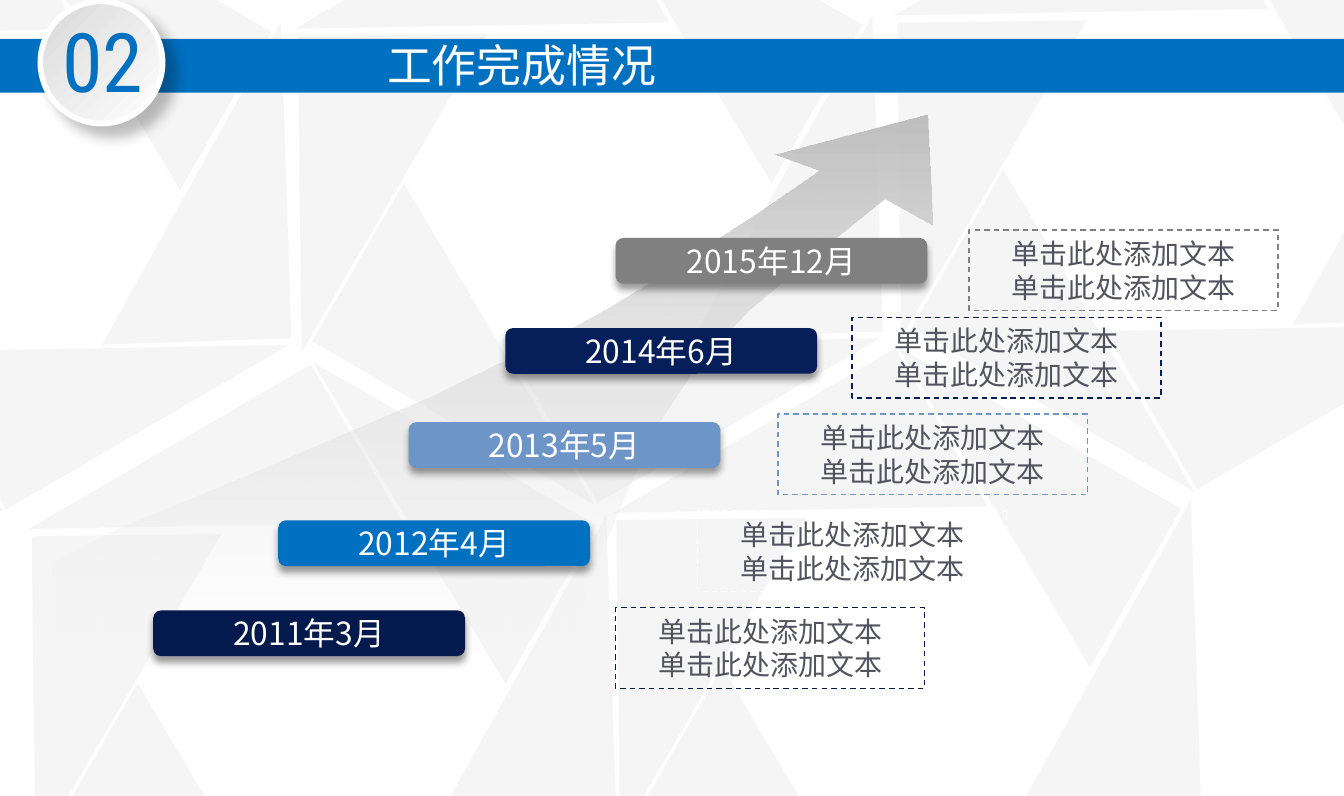
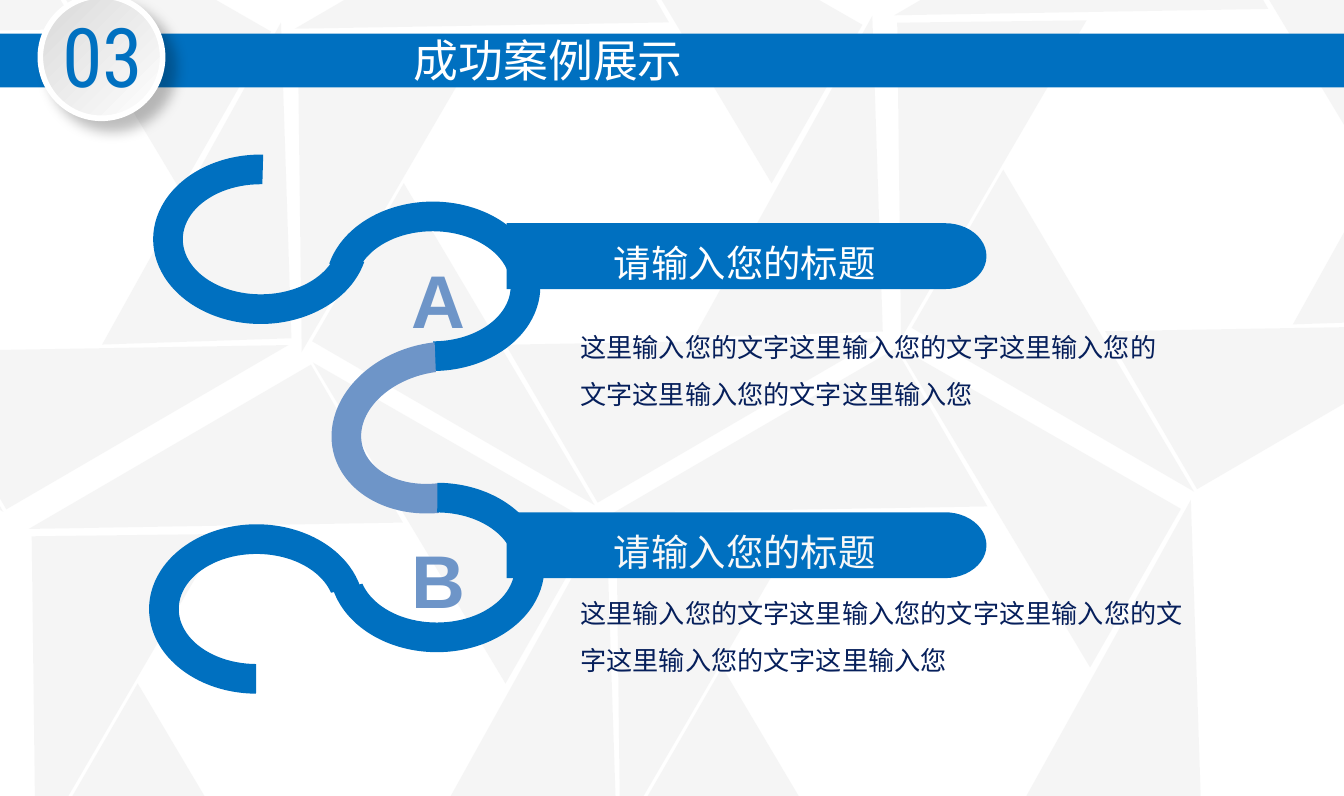
from math import cos, pi, sin

from lxml.etree import SubElement
from pptx import Presentation
from pptx.dml.color import RGBColor
from pptx.enum.dml import MSO_LINE
from pptx.enum.shapes import MSO_SHAPE
from pptx.enum.text import MSO_ANCHOR, MSO_AUTO_SIZE, PP_ALIGN
from pptx.oxml.ns import qn
from pptx.util import Inches, Pt

COLORS = {
    "blue": "0070C0",
    "soft_blue": "6E95C8",
    "navy": "061F5B",
    "deep_navy": "04194C",
    "gray": "808080",
    "silver": "BFBFBF",
    "pale": "D9D9D9",
    "white": "FFFFFF",
    "off_white": "F8F8F8",
    "text": "52535E",
}
CJK = "Noto Sans CJK SC"
LEFT, CENTER = PP_ALIGN.LEFT, PP_ALIGN.CENTER
TOP, MIDDLE = MSO_ANCHOR.TOP, MSO_ANCHOR.MIDDLE


def paint(shape, fill=None, alpha=None, shadow=None):
    """Flat fill without outline; shadow is (opacity %, blur pt, distance pt, degrees)."""
    shape.shadow.inherit = False
    shape.line.fill.background()
    if fill:
        shape.fill.solid()
        shape.fill.fore_color.rgb = RGBColor.from_string(COLORS[fill])
    else:
        shape.fill.background()
    properties = shape._element.spPr
    if alpha is not None:
        tint = properties.find(qn("a:solidFill"))[0]
        SubElement(tint, qn("a:alpha"), val=str(alpha * 1000))
    if shadow:
        opacity, blur, distance, angle = shadow
        outer = SubElement(properties.find(qn("a:effectLst")), qn("a:outerShdw"),
                           blurRad=str(Pt(blur)), dist=str(Pt(distance)),
                           dir=str(angle * 60000), algn="ctr", rotWithShape="0")
        tint = SubElement(outer, qn("a:srgbClr"), val="000000")
        SubElement(tint, qn("a:alpha"), val=str(opacity * 1000))
    return shape


def write(shape, lines, size, color, font=CJK, align=CENTER, anchor=TOP,
          wrap=True, bold=False, spacing=None):
    frame = shape.text_frame
    frame.word_wrap = wrap
    frame.auto_size = MSO_AUTO_SIZE.NONE
    frame.vertical_anchor = anchor
    for number, line in enumerate(lines):
        paragraph = frame.add_paragraph() if number else frame.paragraphs[0]
        paragraph.alignment = align
        paragraph.line_spacing = spacing
        run = paragraph.add_run()
        run.text = line
        run.font.size = Pt(size)
        run.font.bold = bold
        run.font.name = font
        run.font.color.rgb = RGBColor.from_string(COLORS[color])
        SubElement(run.font._element, qn("a:ea"), typeface=CJK)


prs = Presentation()
prs.slide_width, prs.slide_height = Inches(10), Inches(5.92)
layout = prs.slide_layouts[5]
for placeholder in list(layout.placeholders)[1:]:
    layout.shapes.element.remove(placeholder._element)
progress = prs.slides.add_slide(layout)
cases = prs.slides.add_slide(layout)

# Shared background: rings of six pale triangles, kept on the layout
RING = [
    (-0.61, 1.22, 2.35, 1.41, 89.3),
    (0, 0, 2.43, 1.36, 149.8),
    (0.13, 2.37, 2.43, 1.36, 30.1),
    (1.57, 2.35, 2.43, 1.36, 329.8),
    (2.28, 1.1, 2.35, 1.41, 268.1),
    (1.44, -0.02, 2.43, 1.36, 209.8),
]
RING_ORIGINS = [(0.39, 3.23), (4.74, 3.11), (2.37, -0.49), (6.83, -0.59), (-2.03, -0.44)]
for ring_x, ring_y in RING_ORIGINS:
    visible = RING if ring_x > 0 else RING[1:]
    for dx, dy, width, height, angle in visible:
        triangle = progress.shapes.add_shape(
            MSO_SHAPE.RIGHT_TRIANGLE, Inches(ring_x + dx), Inches(ring_y + dy),
            Inches(width), Inches(height))
        triangle.rotation = angle
        paint(triangle, "silver", alpha=14)
        layout.shapes.element.append(triangle._element)

# Shared header: band, numbered badge, title
HEADERS = [
    (progress, "02", "工作完成情况", 0.29, 1.93, 0.2),
    (cases, "03", "成功案例展示", 0.25, 2.13, 0.16),
]
for slide, number, heading, band_y, title_x, title_y in HEADERS:
    paint(slide.shapes.add_shape(MSO_SHAPE.RECTANGLE, 0, Inches(band_y),
                                 Inches(10), Inches(0.4)), "blue")
    badge = slide.shapes.add_group_shape()
    disc = badge.shapes.add_shape(MSO_SHAPE.OVAL, Inches(0.3), Inches(band_y - 0.28),
                                  Inches(0.91), Inches(0.91))
    paint(disc, shadow=(25, 7, 8, 45))
    disc.fill.gradient()
    disc.fill.gradient_angle = 315
    for stop, color in zip(disc.fill.gradient_stops, ("pale", "white")):
        stop.color.rgb = RGBColor.from_string(COLORS[color])
    disc.line.color.rgb = RGBColor.from_string(COLORS["white"])
    disc.line.width = Pt(3)
    badge_number = badge.shapes.add_textbox(Inches(0.35), Inches(band_y - 0.26),
                                            Inches(0.83), Inches(0.84))
    write(badge_number, [number], 44, "blue", font="Roboto Condensed")

    title = slide.shapes.title
    title.left, title.top = Inches(title_x), Inches(title_y)
    title.width, title.height = Inches(3.9), Inches(0.56)
    write(title, [heading], 24, "white", anchor=MIDDLE)
    slide.shapes.element.append(title._element)

# Slide 1: timeline along a rising arrow
ARROW = [
    (0.39, 4.17), (0.84, 3.94), (1.31, 3.75), (1.82, 3.54), (2.45, 3.27), (3.22, 2.94),
    (3.73, 2.69), (4.07, 2.54), (4.54, 2.28), (4.95, 2.03), (5.33, 1.78), (5.64, 1.58),
    (6.09, 1.27), (5.76, 1.15), (6.9, 0.85), (6.94, 1.68), (6.58, 1.48), (6.12, 1.85),
    (5.58, 2.3), (5.21, 2.68), (5.03, 2.95), (4.85, 3.23), (4.74, 3.49), (4.63, 3.73),
    (4.43, 4.21), (4.29, 4.66), (4.18, 5.02), (4.04, 5.43), (0.39, 5.43),
]
corners = [(Inches(x), Inches(y)) for x, y in ARROW]
outline = progress.shapes.build_freeform(*corners[0])
outline.add_line_segments(corners[1:])
arrow = paint(outline.convert_to_shape())
arrow.fill.gradient()
arrow.fill.gradient_angle = 270
for stop, color in zip(arrow.fill.gradient_stops, ("silver", "white")):
    stop.color.rgb = RGBColor.from_string(COLORS[color])
faded_end = arrow._element.spPr.findall(".//" + qn("a:srgbClr"))[-1]
SubElement(faded_end, qn("a:alpha"), val="0")

MILESTONES = [
    ("2011年3月", "deep_navy", 1.14, 4.54, "deep_navy", 4.58, 4.52),
    ("2012年4月", "blue", 2.07, 3.87, "white", 5.19, 3.8),
    ("2013年5月", "soft_blue", 3.04, 3.14, "soft_blue", 5.79, 3.08),
    ("2014年6月", "navy", 3.76, 2.44, "navy", 6.34, 2.36),
    ("2015年12月", "gray", 4.58, 1.77, "gray", 7.21, 1.71),
]
for date, date_color, date_x, date_y, border, note_x, note_y in MILESTONES:
    date_bar = progress.shapes.add_shape(
        MSO_SHAPE.ROUNDED_RECTANGLE, Inches(date_x), Inches(date_y), Inches(2.32), Inches(0.34))
    paint(date_bar, date_color, shadow=(40, 4, 3, 90))
    write(date_bar, [date], 17, "white", anchor=MIDDLE)

    note = progress.shapes.add_shape(
        MSO_SHAPE.RECTANGLE, Inches(note_x), Inches(note_y), Inches(2.3), Inches(0.6))
    paint(note)
    note.line.color.rgb = RGBColor.from_string(COLORS[border])
    note.line.width = Pt(0.75)
    note.line.dash_style = MSO_LINE.DASH
    write(note, ["单击此处添加文本"] * 2, 15, "text")

# Slide 2: banners with a rounded right end, joined by a winding ribbon
for banner_y in (3.81, 1.66):
    rounded_end = [(Inches(7.03 + 0.31 * sin(pi * step / 24)),
                    Inches(banner_y + 0.245 * (1 - cos(pi * step / 24))))
                   for step in range(25)]
    outline = cases.shapes.build_freeform(Inches(3.77), Inches(banner_y))
    outline.add_line_segments(rounded_end + [(Inches(3.77), Inches(banner_y + 0.49))])
    paint(outline.convert_to_shape(), "blue")

RIBBON = [
    (1.14, 1.15, 1.6, 1.26, 0, True, 52.97, "blue"),
    (2.42, 1.5, 1.6, 1.26, 180, True, 54.24, "blue"),
    (2.63, 2.38, 1.26, 1.6, 77.2, True, 101.69, "soft_blue"),
    (1.11, 3.9, 1.6, 1.26, 0, False, 54.24, "blue"),
    (2.45, 3.59, 1.6, 1.26, 180, False, 54.24, "blue"),
]
for x, y, width, height, angle, flipped, start, color in RIBBON:
    bend = cases.shapes.add_shape(MSO_SHAPE.BLOCK_ARC, Inches(x), Inches(y),
                                  Inches(width), Inches(height))
    bend.rotation = angle
    if flipped:
        bend._element.spPr.xfrm.set("flipV", "1")
    for index, value in enumerate((start, 208.61, 0.175)):
        bend.adjustments[index] = value
    paint(bend, color)

CASES = [
    ("A", 1.84, 1.74, "white", 2.3, 4.64, "Arial"),
    ("B", 3.92, 3.89, "off_white", 4.28, 4.72, CJK),
]
for letter, letter_y, label_y, label_color, body_y, body_width, body_font in CASES:
    initial = cases.shapes.add_textbox(Inches(2.96), Inches(letter_y), Inches(0.61), Inches(0.77))
    write(initial, [letter], 40, "soft_blue", font="Arial", align=LEFT, wrap=False, bold=True)
    label = cases.shapes.add_textbox(Inches(4.47), Inches(label_y), Inches(2.17), Inches(0.44))
    write(label, ["请输入您的标题"], 20, label_color, font="Arial", align=LEFT, wrap=False)
    body = cases.shapes.add_textbox(Inches(4.22), Inches(body_y), Inches(body_width), Inches(0.81))
    write(body, ["这里输入您的文字" * 4 + "这里输入您"], 14, "navy",
          font=body_font, align=LEFT, spacing=1.5)

prs.save("out.pptx")
